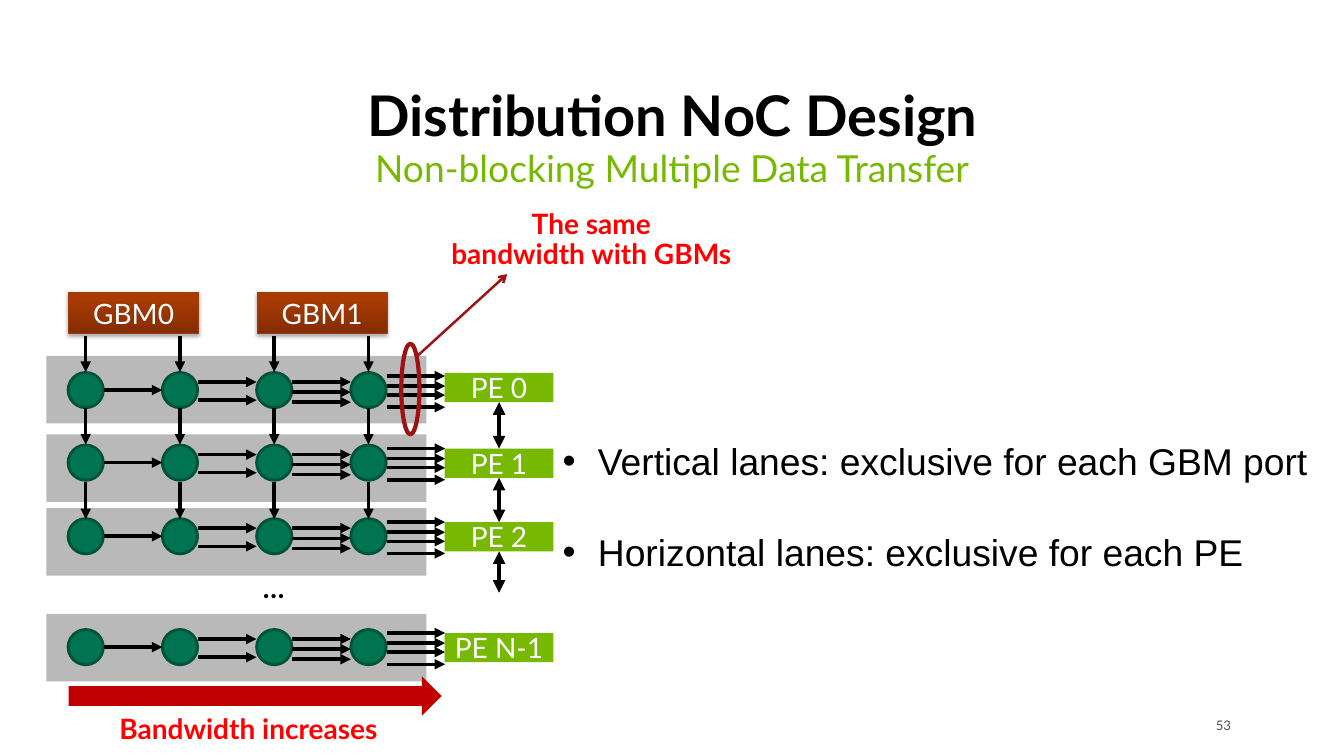
from pptx import Presentation
from pptx.dml.color import RGBColor
from pptx.enum.shapes import MSO_CONNECTOR, MSO_SHAPE
from pptx.enum.text import MSO_ANCHOR, MSO_AUTO_SIZE, PP_ALIGN
from pptx.oxml import parse_xml
from pptx.oxml.ns import nsdecls, qn
from pptx.util import Inches, Pt

RECTANGLE, OVAL, RIGHT_ARROW = MSO_SHAPE.RECTANGLE, MSO_SHAPE.OVAL, MSO_SHAPE.RIGHT_ARROW
STRAIGHT = MSO_CONNECTOR.STRAIGHT
TOP, MIDDLE, BOTTOM = MSO_ANCHOR.TOP, MSO_ANCHOR.MIDDLE, MSO_ANCHOR.BOTTOM
LEFT, CENTER, RIGHT = PP_ALIGN.LEFT, PP_ALIGN.CENTER, PP_ALIGN.RIGHT
SITE_TOP, SITE_BOTTOM = 0, 2

COLORS = {
    "black": "000000", "white": "FFFFFF", "gray": "505050", "band": "B9B9B9",
    "node": "007450", "node_edge": "005338", "green": "76B900",
    "gbm_dark": "822C02", "gbm_mid": "A83A02", "gbm_light": "AB3900",
    "gbm_edge": "9A3F12", "red": "FF0000", "arrow_red": "C00000", "dark_red": "9E1212",
}

# Grid of the network: column centres and row centres, in inches
COLUMNS = [0.85 + 0.935 * i for i in range(4)]
ROWS = [3.87, 4.59, 5.32, 6.42]
BAND_TOPS = [3.53, 4.31, 5.04, 6.09]
PE_TOPS = [3.7, 4.45, 5.18, 6.28]
PE_NAMES = ["PE 0", "PE 1", "PE 2", "PE N-1"]
NODE = 0.35
PE_LEFT, PE_WIDTH, PE_HEIGHT = 4.41, 1.08, 0.29
LANES = [[0], [-0.08, 0.1], [-0.08, 0.02, 0.12], [-0.14, -0.04, 0.05, 0.17]]


def color(name):
    return RGBColor.from_string(COLORS[name])


def write(box, lines, size, tint, bold=False, font="Lato", align=CENTER,
          anchor=MIDDLE, spacing=0.9, margin=0.1, gap=0, bullet=False):
    """Fill a box with one formatted paragraph per line."""
    frame = box.text_frame
    frame.word_wrap = True
    frame.auto_size = MSO_AUTO_SIZE.NONE
    frame.vertical_anchor = anchor
    frame.margin_left = frame.margin_right = Inches(margin)
    frame.margin_top = frame.margin_bottom = Inches(margin / 2)
    for i, line in enumerate(lines):
        para = frame.add_paragraph() if i else frame.paragraphs[0]
        para.alignment = align
        para.line_spacing = spacing
        para.space_before = Pt(gap if i else 0)
        props = para._p.get_or_add_pPr()
        indent = Inches(0.35) if bullet else 0
        props.set("marL", str(indent))
        props.set("indent", str(-indent))
        mark = '<a:buChar %s char="•"/>' if bullet else "<a:buNone %s/>"
        props.append(parse_xml(mark % nsdecls("a")))
        span = para.add_run()
        span.text = line
        span.font.name, span.font.size, span.font.bold = font, Pt(size), bold
        span.font.color.rgb = color(tint)


def place(box, left, top, width, height):
    box.left, box.top = Inches(left), Inches(top)
    box.width, box.height = Inches(width), Inches(height)


def add_label(page, area, lines, size, tint, **style):
    box = page.shapes.add_textbox(*map(Inches, area))
    write(box, lines, size, tint, **style)


def add_block(page, kind, area, fill=None, edge=None, weight=1):
    box = page.shapes.add_shape(kind, *map(Inches, area))
    box.shadow.inherit = False
    if fill:
        box.fill.solid()
        box.fill.fore_color.rgb = color(fill)
    else:
        box.fill.background()
    if edge:
        box.line.color.rgb = color(edge)
        box.line.width = Pt(weight)
    else:
        box.line.fill.background()
    return box


def add_arrow(page, start, end, weight=2.5, tint="black", tip="triangle", double=False):
    link = page.shapes.add_connector(STRAIGHT, *map(Inches, start + end))
    link.line.color.rgb = color(tint)
    link.line.width = Pt(weight)
    stroke = link.line._get_or_add_ln()
    for side in ["headEnd", "tailEnd"] if double else ["tailEnd"]:
        stroke.append(parse_xml(f'<a:{side} {nsdecls("a")} type="{tip}"/>'))
    link._element.spPr.append(parse_xml(f'<a:effectLst {nsdecls("a")}/>'))
    return link


def add_memory(page, name, left, top):
    """Global buffer block with a vertical gradient and a soft shadow."""
    box = add_block(page, RECTANGLE, (left, top, 1.29, 0.41), "gbm_mid", "gbm_edge", 0.75)
    props = box._element.spPr
    stops = "".join(
        f'<a:gs pos="{share * 1000}"><a:srgbClr val="{COLORS[tint]}"/></a:gs>'
        for share, tint in [(0, "gbm_dark"), (80, "gbm_mid"), (100, "gbm_light")])
    props.replace(props.find(qn("a:solidFill")), parse_xml(
        f'<a:gradFill {nsdecls("a")} rotWithShape="1"><a:gsLst>{stops}</a:gsLst>'
        '<a:lin ang="16200000" scaled="0"/></a:gradFill>'))
    props.find(qn("a:effectLst")).append(parse_xml(
        f'<a:outerShdw {nsdecls("a")} blurRad="{Pt(3.1)}" dist="{Pt(1.8)}" dir="5400000" '
        f'rotWithShape="0"><a:srgbClr val="{COLORS["black"]}"><a:alpha val="35000"/>'
        '</a:srgbClr></a:outerShdw>'))
    write(box, [name], 20, "white", spacing=1)


def add_network(page):
    for top in BAND_TOPS:
        add_block(page, RECTANGLE, (0.46, top, 3.77, 0.67), "band")
    for y in ROWS:
        for x in COLUMNS:
            add_block(page, OVAL, (x - NODE / 2, y - NODE / 2, NODE, NODE),
                      "node", "node_edge", 2)
    for i, name in enumerate(["GBM0", "GBM1"]):
        add_memory(page, name, 0.68 + 1.87 * i, 2.9)
    for start, end in [(3.33, 3.69), (4.05, 4.41), (4.78, 5.15)]:
        for x in COLUMNS:
            add_arrow(page, (x, start), (x, end))
    for y in ROWS:
        for x, offsets in zip(COLUMNS, LANES):
            for offset in offsets:
                add_arrow(page, (x + 0.18, y + offset), (x + 0.76, y + offset))


def add_elements(page):
    """Processing elements, chained by double arrows."""
    boxes = []
    for name, top in zip(PE_NAMES, PE_TOPS):
        box = add_block(page, RECTANGLE, (PE_LEFT, top, PE_WIDTH, PE_HEIGHT), "green")
        write(box, [name], 20, "white", spacing=1, margin=0)
        boxes.append(box)
    middle = PE_LEFT + PE_WIDTH / 2
    for i, end in enumerate([PE_TOPS[1], PE_TOPS[2], 5.88]):
        link = add_arrow(page, (middle, PE_TOPS[i] + PE_HEIGHT), (middle, end), 3, double=True)
        link.begin_connect(boxes[i], SITE_BOTTOM)
        if i < 2:
            link.end_connect(boxes[i + 1], SITE_TOP)


def add_notes_on_bandwidth(page):
    add_label(page, (2.47, 5.65, 0.49, 0.4), ["…"], 20, "black", bold=True)
    add_label(page, (4.24, 2.03, 3.25, 0.71), ["The same", "bandwidth with GBMs"],
              20, "red", bold=True)
    add_block(page, OVAL, (3.98, 3.41, 0.18, 0.9), edge="dark_red", weight=3)
    add_arrow(page, (4.13, 3.54), (5.03, 2.72), 1.75, "dark_red", "arrow")
    add_block(page, RIGHT_ARROW, (0.68, 6.71, 3.7, 0.39), "arrow_red")
    add_label(page, (0.84, 7.05, 3.25, 0.4), ["Bandwidth increases"], 20, "red", bold=True)


def main():
    deck = Presentation()
    deck.slide_width, deck.slide_height = Inches(13.33), Inches(7.5)
    page = deck.slides.add_slide(deck.slide_layouts[3])
    title, subtitle, points = page.placeholders
    place(title, 0.61, 0.8, 12.12, 0.72)
    write(title, ["Distribution NoC Design"], 40, "black", bold=True, anchor=BOTTOM)
    place(subtitle, 0.61, 1.44, 12.12, 0.64)
    write(subtitle, ["Non-blocking Multiple Data Transfer"], 26.6, "green", anchor=TOP)
    place(points, 5.48, 4.3, 7.68, 1.71)
    write(points, ["Vertical lanes: exclusive for each GBM port",
                   "Horizontal lanes: exclusive for each PE"],
          26.6, "black", font="Arial", align=LEFT, anchor=TOP, spacing=1,
          gap=33, bullet=True)
    add_network(page)
    add_elements(page)
    add_notes_on_bandwidth(page)
    add_label(page, (11.86, 7.09, 0.35, 0.2), ["53"], 9.4, "gray",
              align=RIGHT, spacing=1, margin=0)
    deck.save("out.pptx")


if __name__ == "__main__":
    main()
